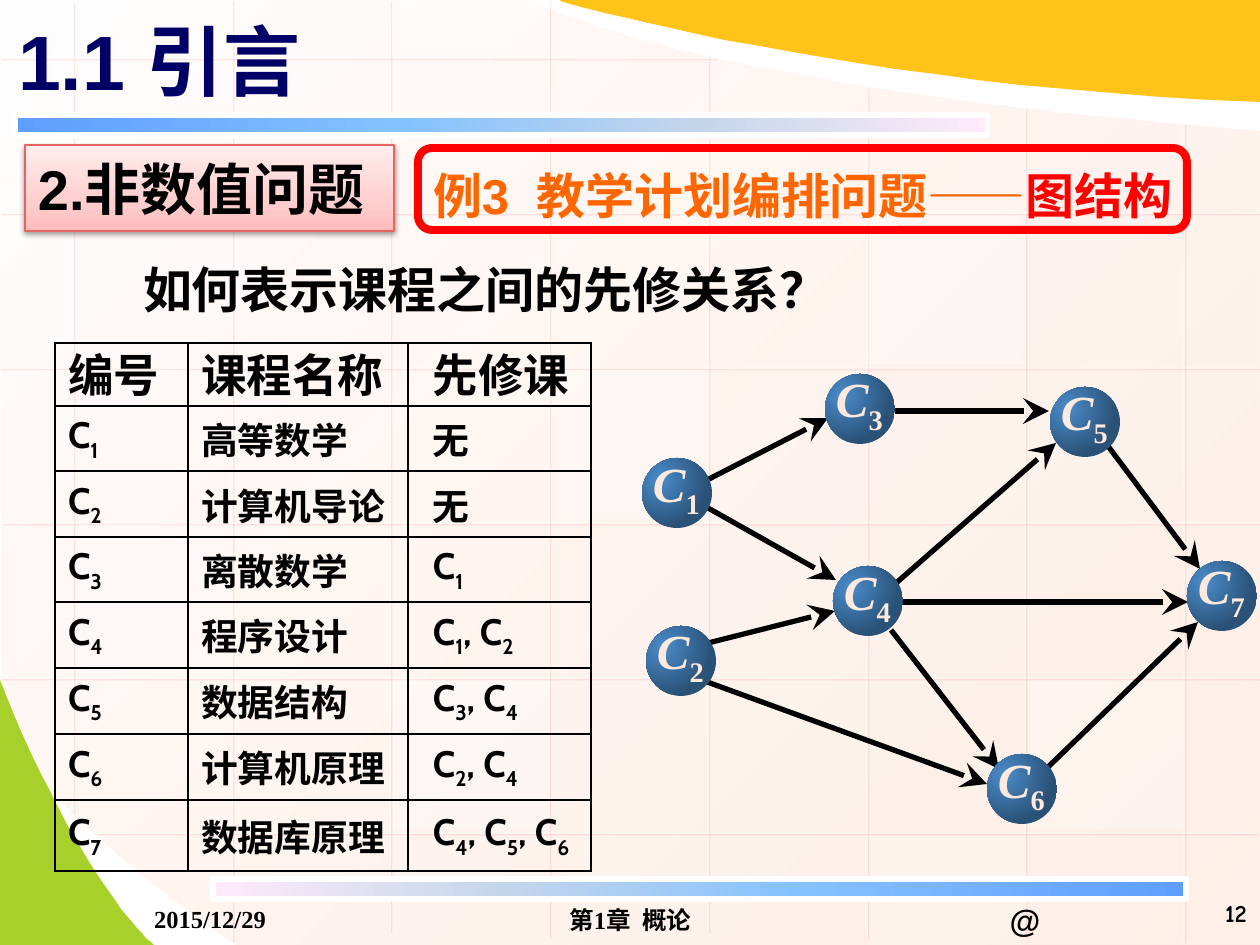
"""Build the slide on representing course prerequisites as a graph."""
import itertools
from dataclasses import dataclass
from typing import NamedTuple

import pptx
import pptx.dml.color
import pptx.enum.shapes
import pptx.enum.text
import pptx.oxml
import pptx.oxml.ns
import pptx.util

PX = 914400 / 126
NS = pptx.oxml.ns.nsdecls("a")
SHAPE = pptx.enum.shapes.MSO_SHAPE
ALIGN = pptx.enum.text.PP_ALIGN
ANCHOR = pptx.enum.text.MSO_ANCHOR


@dataclass(frozen=True)
class Theme:
    black: str = "000000"
    white: str = "FFFFFF"
    navy: str = "000066"
    orange: str = "FF6600"
    red: str = "FF0000"
    green: str = "A8D02A"
    yellow: str = "FFC319"
    grid: str = "FF7575"
    cream: str = "FEE9DE"
    tag_line: str = "E56464"
    bar: tuple = ((0, "5E9EFF"), (40, "85C2FF"), (70, "C4D6EB"), (100, "FFEBFA"))
    tag: tuple = ((0, "FFBBBB"), (35, "FFCFCF"), (100, "FFEDED"))
    ball: tuple = ((0, "4A8CCB"), (100, "2A5176"))
    paper: tuple = ((0, "FFFEFE"), (100, "FEE9DE", 70))
    title: int = 44
    tag_size: int = 32
    body: int = 28
    header: int = 26
    at_sign: int = 18
    cell: int = 21
    footer: int = 14


class Box(NamedTuple):
    x: int
    y: int
    w: int
    h: int


class Node(NamedTuple):
    name: str
    x: int
    y: int


class Line(NamedTuple):
    x1: int
    y1: int
    x2: int
    y2: int


class Course(NamedTuple):
    code: str
    name: str
    needs: str


T = Theme()
COURSES = [
    Course("编号", "课程名称", "先修课"),
    Course("C1", "高等数学", "无"),
    Course("C2", "计算机导论", "无"),
    Course("C3", "离散数学", "C1"),
    Course("C4", "程序设计", "C1, C2"),
    Course("C5", "数据结构", "C3, C4"),
    Course("C6", "计算机原理", "C2, C4"),
    Course("C7", "数据库原理", "C4, C5, C6"),
]
COLUMN_WIDTHS = [133, 220, 183]
ROW_HEIGHTS = [63, 65, 66, 65, 66, 66, 66, 71]
NODES = [
    Node("C1", 642, 458), Node("C2", 646, 626), Node("C3", 825, 374), Node("C4", 833, 566),
    Node("C5", 1050, 387), Node("C6", 987, 754), Node("C7", 1187, 561),
]
ARROWS = [
    Line(1046, 769, 1198, 622), Line(1105, 442, 1200, 569), Line(895, 411, 1049, 411),
    Line(895, 584, 1056, 443), Line(891, 630, 999, 769), Line(898, 602, 1188, 602),
    Line(709, 479, 828, 418), Line(699, 679, 987, 784), Line(708, 643, 835, 611),
    Line(708, 508, 836, 580),
]
GRID = [Line(73 + round(158.7 * i), top, 73 + round(158.7 * i), bottom) for i, (top, bottom) in enumerate(
    [(0, 814), (0, 941), (0, 932), (0, 937), (54, 932), (86, 937), (107, 937), (123, 941)])]
GRID += [Line(right, 58 + 155 * i, left, 58 + 155 * i) for i, (left, right) in enumerate(
    [(0, 716)] + [(0, 1260)] * 4 + [(96, 1256)])]
PANELS = [
    (Box(552, 370, 155, 149), 25), (Box(1028, 680, 155, 149), 30), (Box(76, 524, 155, 149), 20),
    (Box(869, 835, 155, 110), 20), (Box(392, 0, 155, 55), 40), (Box(393, 680, 155, 149), 30),
    (Box(868, 215, 155, 149), 30),
]


def emu(*px: int) -> list:
    return [pptx.util.Emu(round(v * PX)) for v in px]


def rgb(color: str):
    return pptx.dml.color.RGBColor.from_string(color)


def xml(body: str):
    tag, rest = body[1:].split(">", 1) if "/>" not in body.split(">", 1)[0] + ">" else (body[1:-2], None)
    return pptx.oxml.parse_xml(f"<{tag} {NS}/>" if rest is None else f"<{tag} {NS}>{rest}")


def srgb(color: str, alpha: int = 100) -> str:
    return f'<a:srgbClr val="{color}"><a:alpha val="{alpha * 1000}"/></a:srgbClr>'


def paint(sp, *stops: tuple, angle: int = 0, focus: str = "") -> None:
    """Fill a shape with one colour or a gradient of (position, colour, alpha) stops."""
    if len(stops) == 1:
        fill = f"<a:solidFill>{srgb(*stops[0][1:])}</a:solidFill>"
    else:
        marks = "".join(f'<a:gs pos="{pos * 1000}">{srgb(*color)}</a:gs>' for pos, *color in stops)
        course = f'<a:path path="circle"><a:fillToRect {focus}/></a:path>' if focus else (
            f'<a:lin ang="{angle * 60000}" scaled="0"/>')
        fill = f"<a:gradFill><a:gsLst>{marks}</a:gsLst>{course}</a:gradFill>"
    sp.fill.background()
    props = sp.element.spPr
    props.replace(props.find(pptx.oxml.ns.qn("a:noFill")), xml(fill))


def outline(sp, color: str = "", width: float = 0) -> None:
    sp.shadow.inherit = False
    if not color:
        sp.line.fill.background()
        return
    sp.line.color.rgb = rgb(color)
    sp.line.width = pptx.util.Pt(width)


def cast_shadow(sp, color: str, alpha: int, blur: float, dist: float, angle: int) -> None:
    props = sp.element.spPr
    for old in props.findall(pptx.oxml.ns.qn("a:effectLst")):
        props.remove(old)
    props.append(xml(
        f'<a:effectLst><a:outerShdw blurRad="{round(blur * 12700)}" dist="{round(dist * 12700)}" '
        f'dir="{angle * 60000}" algn="ctr" rotWithShape="0">{srgb(color, alpha)}</a:outerShdw></a:effectLst>'))


def add_shape(s, kind, box: Box):
    return s.shapes.add_shape(kind, *emu(*box))


def add_line(s, line: Line, color: str, width: float):
    sp = s.shapes.add_connector(pptx.enum.shapes.MSO_CONNECTOR.STRAIGHT, *emu(*line))
    sp.line.color.rgb = rgb(color)
    sp.line.width = pptx.util.Pt(width)
    sp.element.spPr.append(xml("<a:effectLst/>"))
    return sp


def bezier(a: tuple, b: tuple, c: tuple, d: tuple, steps: int = 24) -> list:
    ts = [i / steps for i in range(steps + 1)]
    return [tuple((1 - t) ** 3 * p + 3 * (1 - t) ** 2 * t * q + 3 * (1 - t) * t * t * u + t ** 3 * v
                  for p, q, u, v in zip(a, b, c, d)) for t in ts]


def add_outline(s, points: list):
    fb = s.shapes.build_freeform(*points[0], scale=PX)
    fb.add_line_segments(points[1:], close=True)
    sp = fb.convert_to_shape()
    outline(sp)
    return sp


def add_text(p, text: str, *, size: int, font: str = "Arial", color: str = T.black, italic: bool = False,
             base: int = 0, spc: int = 0) -> None:
    r = p.add_run()
    r.text = text
    f = r.font
    f.name, f.size, f.bold, f.italic = font, pptx.util.Pt(size), True, italic
    f.color.rgb = rgb(color)
    for key, value in (("baseline", base * 1000), ("spc", spc)):
        if value:
            r.font._element.set(key, str(value))


def add_code(p, text: str, *, italic: bool = False, **style) -> None:
    """Write text with its digits as upright subscripts."""
    for digit, chars in itertools.groupby(text, str.isdigit):
        add_text(p, "".join(chars), italic=italic and not digit, base=-25 if digit else 0, **style)


def frame(tf, *, align=ALIGN.LEFT, anchor=ANCHOR.TOP, margins: tuple = (13, 6, 13, 6), wrap: bool = True):
    tf.word_wrap = wrap
    tf.auto_size = pptx.enum.text.MSO_AUTO_SIZE.NONE
    tf.vertical_anchor = anchor
    tf.margin_left, tf.margin_top, tf.margin_right, tf.margin_bottom = emu(*margins)
    p = tf.paragraphs[0]
    p.alignment = align
    return p


def add_box(s, box: Box, **layout):
    return frame(s.shapes.add_textbox(*emu(*box)).text_frame, **layout)


def add_background(s) -> None:
    paper = [(1260, 945), (236, 945), *bezier((236, 945), (69, 832), (1, 731), (2, 731)), (0, 0),
             *bezier((530, 0), (530, 0), (677, 87), (1260, 131))]
    paint(add_outline(s, paper), *T.paper, angle=45)
    hill = [(0, 945), *bezier((154, 945), (154, 945), (83, 888), (0, 680))]
    paint(add_outline(s, hill), (0, T.green))
    for line in GRID:
        sp = add_line(s, line, T.white, 0.75)
        sp.line.fill._xPr.find(pptx.oxml.ns.qn("a:solidFill"))[0].append(xml('<a:alpha val="50000"/>'))
        cast_shadow(sp, T.grid, 33, 0, 1.4, 45)
    for box, alpha in PANELS:
        sp = add_shape(s, SHAPE.RECTANGLE, box)
        paint(sp, (0, T.white, alpha))
        outline(sp)
    sun = [(1260, 0), *bezier((557, 0), (557, 0), (849, 87), (1260, 102))]
    paint(add_outline(s, sun), (0, T.yellow))
    for x, y, angle in ((15, 115, 0), (213, 879, 180)):
        sp = add_shape(s, SHAPE.RECTANGLE, Box(x, y, 973, 20))
        paint(sp, *T.bar, angle=angle)
        outline(sp, T.white, 3)


def add_courses(s) -> None:
    box = Box(55, 343, sum(COLUMN_WIDTHS), sum(ROW_HEIGHTS))
    table = s.shapes.add_table(len(COURSES), len(COLUMN_WIDTHS), *emu(*box)).table
    table.first_row = table.horz_banding = False
    for column, width in zip(table.columns, emu(*COLUMN_WIDTHS)):
        column.width = width
    for i, (row, height, course) in enumerate(zip(table.rows, emu(*ROW_HEIGHTS), COURSES)):
        row.height = height
        for j, (cell, text) in enumerate(zip(row.cells, course)):
            cell.fill.background()
            cell.vertical_anchor = ANCHOR.MIDDLE
            cell.margin_left, cell.margin_top, cell.margin_right, cell.margin_bottom = emu(
                25 if j == 2 else 13, 0, 0, 0)
            p = cell.text_frame.paragraphs[0]
            p.line_spacing = 1.0 if i else 0.9
            add_code(p, text, size=T.cell if i else T.header, font="Cabin")
            props = cell._tc.get_or_add_tcPr()
            for k, side in enumerate("LRTB"):
                props.insert(k, xml(f'<a:ln{side} w="12700"><a:solidFill>{srgb(T.black)}</a:solidFill></a:ln{side}>'
                                    .replace(f'</a:ln{side}>', f'</a:ln{side}>')))


def add_graph(s) -> None:
    for arrow in ARROWS:
        sp = add_line(s, arrow, T.black, 3)
        sp.line._get_or_add_ln().append(xml('<a:tailEnd type="stealth" w="lg" len="lg"/>'))
    for node in NODES:
        sp = add_shape(s, SHAPE.OVAL, Box(node.x, node.y, 70, 70))
        paint(sp, *T.ball, focus='l="25000" t="30000" r="75000" b="70000"')
        outline(sp)
        p = add_box(s, Box(node.x + 9, node.y - 7, 64, 82), align=ALIGN.JUSTIFY, margins=(2, 2, 0, 1))
        add_code(p, node.name, size=T.body, font="Times New Roman", color=T.cream, italic=True)


def add_headings(s) -> None:
    p = add_box(s, Box(420, 159, 840, 72))
    add_text(p, "例3", size=T.body, color=T.orange)
    add_text(p, " ", size=T.body, color=T.orange, spc=780)
    add_text(p, "教学计划编排问题——", size=T.body, color=T.orange)
    add_text(p, "图结构", size=T.body, color=T.red)
    p = add_box(s, Box(130, 254, 987, 72))
    add_text(p, "如何表示课程之间的先修关系？", size=T.body, font="Times New Roman")
    title = s.shapes.title
    title.left, title.top, title.width, title.height = emu(5, -4, 1134, 127)
    add_text(frame(title.text_frame, anchor=ANCHOR.MIDDLE), "1.1 引言", size=T.title, color=T.navy)
    s.shapes.element.append(title.element)
    sp = add_shape(s, SHAPE.ROUNDED_RECTANGLE, Box(418, 148, 769, 82))
    sp.adjustments[0] = 0.17
    sp.fill.background()
    outline(sp, T.red, 4.5)
    sp = add_shape(s, SHAPE.RECTANGLE, Box(25, 145, 369, 86))
    paint(sp, *T.tag, angle=270)
    outline(sp, T.tag_line, 0.75)
    cast_shadow(sp, T.black, 38, 3.1, 1.6, 90)
    add_text(frame(sp.text_frame, anchor=ANCHOR.MIDDLE, wrap=False), "2.非数值问题", size=T.tag_size)


def add_footer(s) -> None:
    layout = dict(align=ALIGN.CENTER, anchor=ANCHOR.MIDDLE, margins=(13, 0, 13, 0))
    add_text(add_box(s, Box(878, 901, 294, 38), **layout), "@", size=T.at_sign)
    style = dict(size=T.footer, font="Times New Roman")
    add_text(add_box(s, Box(63, 900, 294, 38), **layout), "2015/12/29", **style)
    p = add_box(s, Box(431, 901, 399, 38), **layout)
    add_text(p, "第1章", **style)
    add_text(p, " ", spc=350, **style)
    add_text(p, "概论", **style)
    add_text(add_box(s, Box(1187, 892, 73, 42), align=ALIGN.RIGHT), "12", size=T.footer, font="Comic Neue")


def main() -> None:
    prs = pptx.Presentation()
    prs.slide_width, prs.slide_height = emu(1260, 945)
    s = prs.slides.add_slide(prs.slide_layouts[5])
    add_background(s)
    add_courses(s)
    add_graph(s)
    add_headings(s)
    add_footer(s)
    prs.save("out.pptx")


if __name__ == "__main__":
    main()
